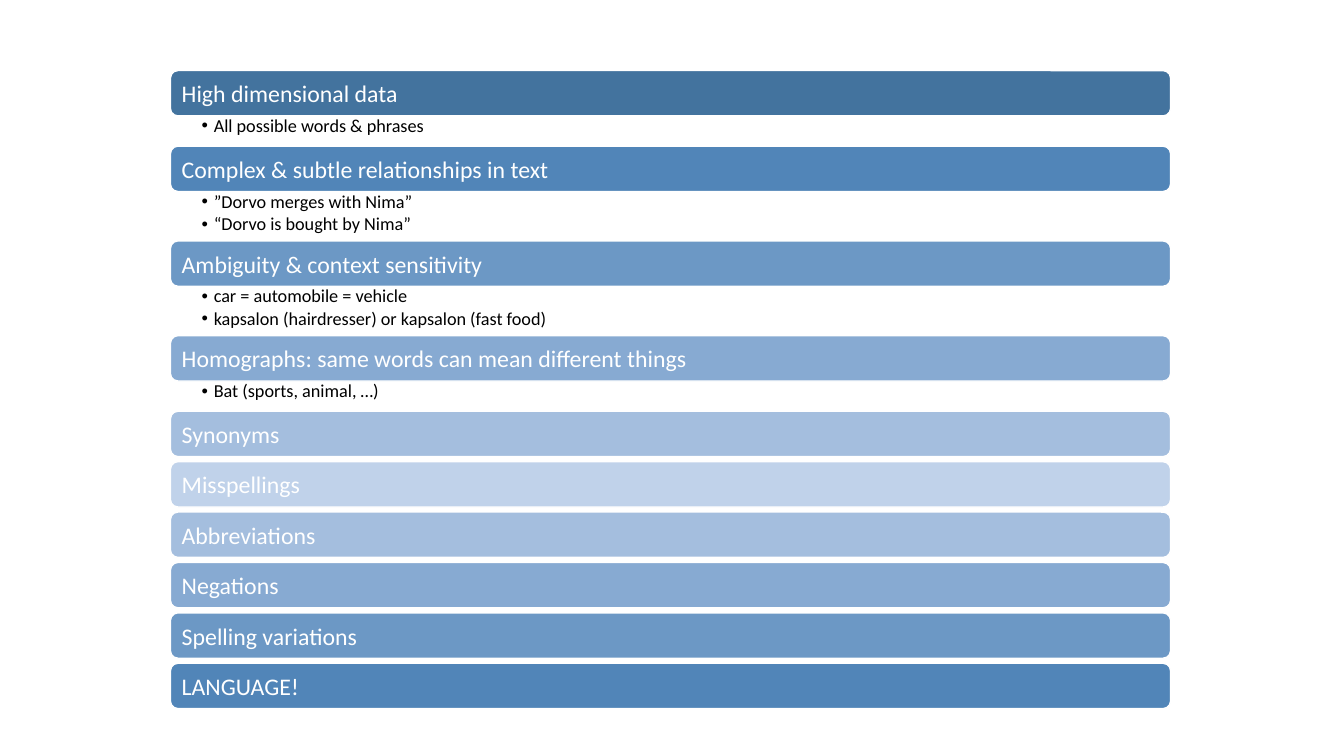
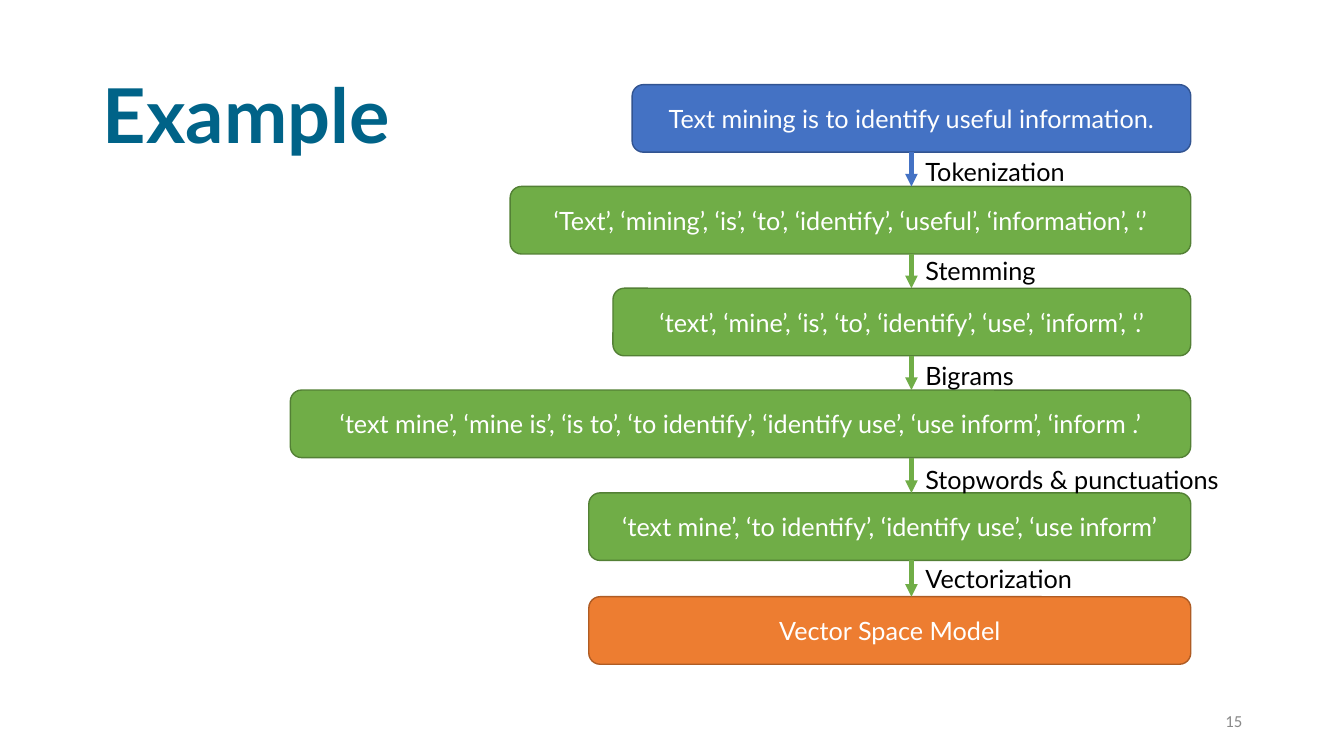
from lxml import etree
from pptx import Presentation
from pptx.dml.color import RGBColor
from pptx.enum.shapes import MSO_CONNECTOR, MSO_SHAPE
from pptx.enum.text import MSO_ANCHOR, MSO_AUTO_SIZE, PP_ALIGN
from pptx.oxml.ns import qn
from pptx.util import Emu, Pt

ROUND = MSO_SHAPE.ROUNDED_RECTANGLE
STRAIGHT = MSO_CONNECTOR.STRAIGHT
TOP, MIDDLE = MSO_ANCHOR.TOP, MSO_ANCHOR.MIDDLE
LEFT, CENTER, RIGHT = PP_ALIGN.LEFT, PP_ALIGN.CENTER, PP_ALIGN.RIGHT
NO_FIT = MSO_AUTO_SIZE.NONE
BOTTOM_SIDE = 2
BLANK, TITLE_ONLY = 6, 5

# Shared style
WHITE, BLACK, GREY, TEAL = "FFFFFF", "000000", "898989", "006388"
BLUE, BLUE_EDGE = "4472C4", "325491"
GREEN, GREEN_EDGE = "70AD47", "538035"
ORANGE, ORANGE_EDGE = "ED7D31", "AF5C24"
SHADES = ["43739E", "5185B8", "6C98C5", "87AAD2", "A4BEDE", "C0D2EA"]
BAR_TEXT = {"name": "Calibri", "size": Pt(17), "color": WHITE}
LIST_TEXT = {"name": "Calibri", "size": Pt(13), "color": BLACK}
TITLE_TEXT = {"name": "Lato", "size": Pt(54), "bold": True, "color": TEAL}
BOX_TEXT = {"name": "Lato", "size": Pt(18), "color": WHITE}
LABEL_TEXT = {"name": "Lato", "size": Pt(18), "color": BLACK}
NUMBER_TEXT = {"name": "Calibri", "size": Pt(12), "color": GREY}
INSETS = (10, 5, 10, 5)


def px(n):
    return Emu(n * 9144)


def rgb(value):
    return RGBColor.from_string(value)


class Deck:
    """The presentation, its style and the current slide."""

    def __init__(self):
        self.prs = Presentation()
        self.prs.slide_width, self.prs.slide_height = px(1333), px(750)
        self.slide = None

    def new_slide(self, layout):
        self.slide = self.prs.slides.add_slide(self.prs.slide_layouts[layout])

    def set_text(self, sp, lines, style, align=LEFT, anchor=TOP,
                 insets=INSETS, bullet=False):
        tf = sp.text_frame
        frame = {"word_wrap": True, "auto_size": NO_FIT,
                 "vertical_anchor": anchor}
        sides = ("margin_left", "margin_top", "margin_right", "margin_bottom")
        frame.update(zip(sides, map(px, insets)))
        for name, value in frame.items():
            setattr(tf, name, value)
        for i, line in enumerate(lines):
            p = tf.add_paragraph() if i else tf.paragraphs[0]
            p.alignment = align
            if bullet:
                self.add_bullet(p, first=i == 0)
            r = p.add_run()
            r.text = line
            for name, value in style.items():
                if name == "color":
                    r.font.color.rgb = rgb(value)
                else:
                    setattr(r.font, name, value)

    def add_bullet(self, p, first):
        p.line_spacing = 0.9
        p.space_before = Pt(0 if first else 2)
        pPr = p._p.get_or_add_pPr()
        pPr.set("marL", str(px(12)))
        pPr.set("indent", str(px(-12)))
        etree.SubElement(pPr, qn("a:buFont")).set("typeface", "Arial")
        etree.SubElement(pPr, qn("a:buChar")).set("char", "•")

    def title(self, text, x, y, w, h):
        sp = self.slide.shapes.title
        sp.left, sp.top, sp.width, sp.height = map(px, (x, y, w, h))
        self.set_text(sp, [text], TITLE_TEXT, anchor=MIDDLE)

    def text(self, lines, x, y, w, h, style, **layout):
        sp = self.slide.shapes.add_textbox(*map(px, (x, y, w, h)))
        self.set_text(sp, lines, style, **layout)

    def box(self, text, x, y, w, h, fill, edge, style, **layout):
        sp = self.slide.shapes.add_shape(ROUND, *map(px, (x, y, w, h)))
        sp.shadow.inherit = False
        sp.fill.solid()
        sp.fill.fore_color.rgb = rgb(fill)
        sp.line.color.rgb = rgb(edge)
        sp.line.width = Pt(1)
        self.set_text(sp, [text], style, anchor=MIDDLE, **layout)
        return sp

    def arrow(self, x, y1, y2, color, start):
        sp = self.slide.shapes.add_connector(
            STRAIGHT, *map(px, (x, y1, x, y2)))
        if start.left + start.width // 2 == px(x):
            sp.begin_connect(start, BOTTOM_SIDE)
        sp.line.color.rgb = rgb(color)
        sp.line.width = Pt(3)
        spPr = sp._element.spPr
        etree.SubElement(spPr.get_or_add_ln(),
                         qn("a:tailEnd")).set("type", "triangle")
        etree.SubElement(spPr, qn("a:effectLst"))


def challenges(deck):
    deck.new_slide(BLANK)
    topics = [
        ("High dimensional data", ["All possible words & phrases"]),
        ("Complex & subtle relationships in text",
         ["”Dorvo merges with Nima”", "“Dorvo is bought by Nima”"]),
        ("Ambiguity & context sensitivity",
         ["car = automobile = vehicle",
          "kapsalon (hairdresser) or kapsalon (fast food)"]),
        ("Homographs: same words can mean different things",
         ["Bat (sports, animal, …)"]),
        ("Synonyms", []),
        ("Misspellings", []),
        ("Abbreviations", []),
        ("Negations", []),
        ("Spelling variations", []),
        ("LANGUAGE!", []),
    ]
    # Shades run from dark to light and back again
    shades = SHADES + SHADES[-2:0:-1]
    space_below = {0: 6, 1: 31, 2: 50}
    x, y, w, bar_h = 169, 70, 992, 44
    for (heading, points), shade in zip(topics, shades):
        deck.box(heading, x, y, w, bar_h + 1, shade, WHITE, BAR_TEXT,
                 insets=(9, 7, 9, 7))
        y += bar_h
        space = space_below[len(points)]
        if points:
            deck.text(points, x, y, w, space, LIST_TEXT,
                      insets=(31, 2, 13, 2), bullet=True)
        y += space


def pipeline(deck):
    deck.new_slide(TITLE_ONLY)
    deck.title("Example", 92, 40, 1150, 145)

    # Stages share a right edge: text, top, width, fill, edge
    stages = [
        ("Text mining is to identify useful information.",
         84, 554, BLUE, BLUE_EDGE),
        ("‘Text’, ‘mining’, ‘is’, ‘to’, ‘identify’, ‘useful’, "
         "‘information’, ‘.’", 185, 675, GREEN, GREEN_EDGE),
        ("‘text’, ‘mine’, ‘is’, ‘to’, ‘identify’, ‘use’, ‘inform’, ‘.’",
         286, 573, GREEN, GREEN_EDGE),
        ("‘text mine’, ‘mine is’, ‘is to’, ‘to identify’, "
         "‘identify use’, ‘use inform’, ‘inform .’",
         387, 893, GREEN, GREEN_EDGE),
        ("‘text mine’, ‘to identify’, ‘identify use’, ‘use inform’",
         489, 597, GREEN, GREEN_EDGE),
        ("Vector Space Model", 592, 597, ORANGE, ORANGE_EDGE),
    ]
    right, box_h = 1181, 67
    boxes = [deck.box(text, right - w, y, w, box_h, fill, edge, BOX_TEXT,
                      align=CENTER)
             for text, y, w, fill, edge in stages]

    # Steps between stages: label, top, width
    steps = [("Tokenization", 150, 168), ("Stemming", 248, 168),
             ("Bigrams", 353, 168), ("Stopwords & punctuations", 456, 356),
             ("Vectorization", 554, 177)]
    for i, (label, y, w) in enumerate(steps):
        _, top, _, fill, _ = stages[i]
        deck.arrow(904, top + box_h, stages[i + 1][1], fill, boxes[i])
        deck.text([label], 908, y, w, 40, LABEL_TEXT)

    # Slide number
    deck.text(["15"], 942, 695, 300, 40, NUMBER_TEXT, align=RIGHT,
              anchor=MIDDLE)


def main():
    deck = Deck()
    challenges(deck)
    pipeline(deck)
    deck.prs.save("out.pptx")


if __name__ == "__main__":
    main()
